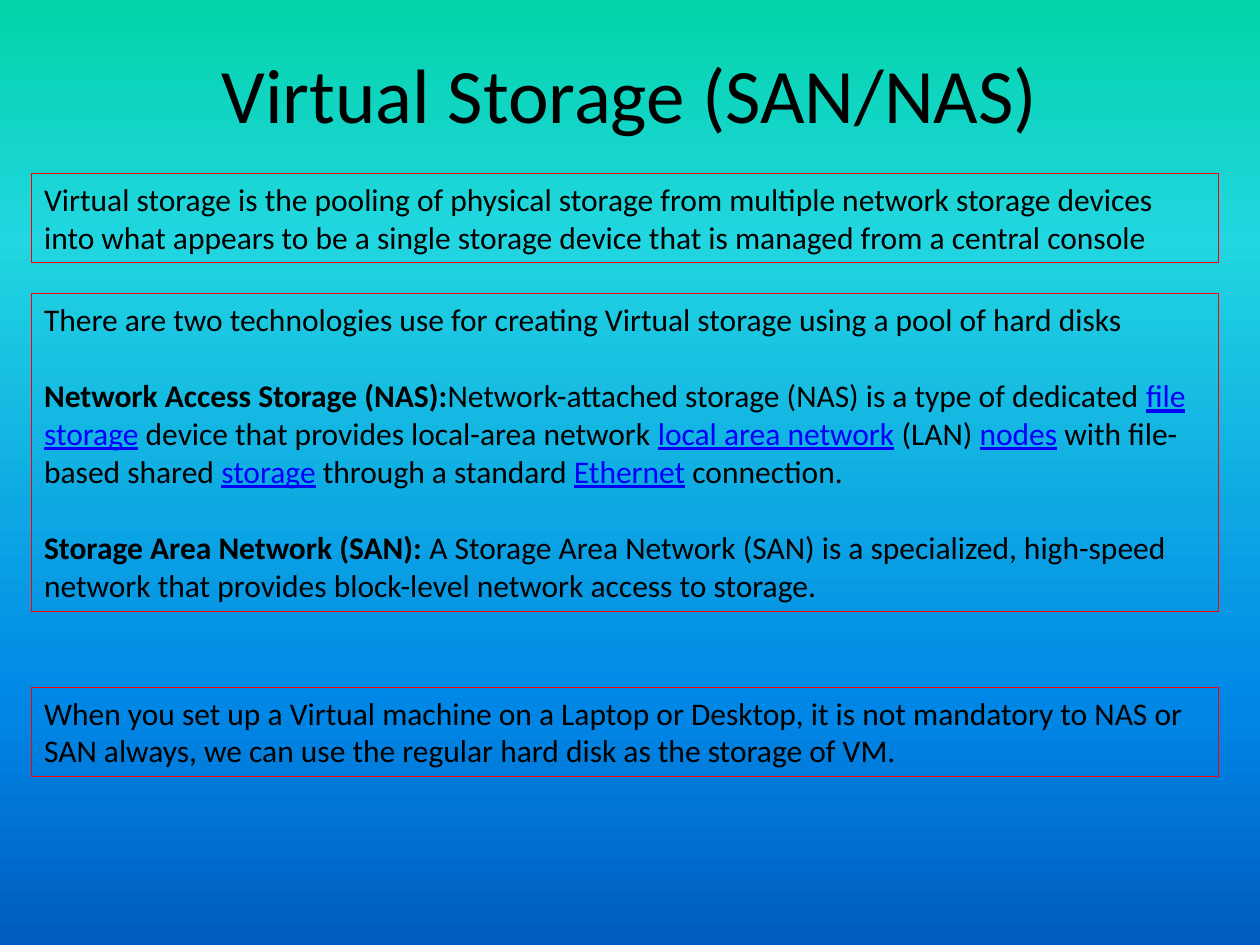
from lxml.etree import SubElement
from pptx import Presentation
from pptx.dml.color import RGBColor
from pptx.enum.shapes import MSO_SHAPE
from pptx.enum.text import MSO_ANCHOR, MSO_AUTO_SIZE, PP_ALIGN
from pptx.oxml.ns import qn
from pptx.util import Cm, Pt

FONT = "Calibri"
BLACK, RED, BLUE = "000000", "FF0000", "0000FF"
BACKGROUND_STOPS = [(0, "03D4A8"), (25, "21D6E0"), (75, "0087E6"), (100, "005CBF")]
BOX_LEFT, BOX_WIDTH = Cm(0.64), Cm(23.92)
PARAGRAPH_GAP = Pt(22)  # one line of body text

# Each paragraph is a list of (text, style) pieces
PLAIN, BOLD, LINK = "plain", "bold", "link"
DEFINITION = [[
    ("Virtual storage is the pooling of physical storage from multiple network "
     "storage devices into what appears to be a single storage device that is "
     "managed from a central console", PLAIN),
]]
TECHNOLOGIES = [
    [("There are two technologies use for creating Virtual storage using a pool "
      "of hard disks", PLAIN)],
    [("Network Access Storage (NAS):", BOLD),
     ("Network-attached storage (NAS) is a type of dedicated ", PLAIN),
     ("file storage", LINK),
     (" device that provides local-area network ", PLAIN),
     ("local area network", LINK),
     (" (LAN) ", PLAIN),
     ("nodes", LINK),
     (" with file-based shared ", PLAIN),
     ("storage", LINK),
     (" through a standard ", PLAIN),
     ("Ethernet", LINK),
     (" connection.", PLAIN)],
    [("Storage Area Network (SAN): ", BOLD),
     ("A Storage Area Network (SAN) is a specialized, high-speed network that "
      "provides block-level network access to storage.", PLAIN)],
]
REMARK = [[
    ("When you set up a Virtual machine on a Laptop or Desktop, it is not "
     "mandatory to NAS or SAN always, we can use the regular hard disk as the "
     "storage of VM.", PLAIN),
]]


def color(value):
    return RGBColor.from_string(value)


def format_run(run, size, style=PLAIN):
    font = run.font
    font.name = FONT
    font.size = Pt(size)
    font.bold = style == BOLD
    font.underline = style == LINK
    font.color.rgb = color(BLUE if style == LINK else BLACK)


def set_background(slide):
    fill = slide.background.fill
    fill.gradient()
    fill.gradient_angle = 270  # top to bottom
    stop_list = next(slide.element.iter(qn("a:gsLst")))
    stop_list.clear()
    for percent, value in BACKGROUND_STOPS:
        stop = SubElement(stop_list, qn("a:gs"), pos=str(percent * 1000))
        SubElement(stop, qn("a:srgbClr"), val=value)


def set_title(slide, text):
    title = slide.shapes.title
    title.left, title.top = Cm(1.27), Cm(0.76)
    title.width, title.height = Cm(22.86), Cm(2.21)
    text_frame = title.text_frame
    text_frame.text = text
    text_frame.vertical_anchor = MSO_ANCHOR.MIDDLE
    paragraph = text_frame.paragraphs[0]
    paragraph.alignment = PP_ALIGN.CENTER
    format_run(paragraph.runs[0], 44)


def add_text_panel(slide, top, height, paragraphs):
    shape = slide.shapes.add_shape(
        MSO_SHAPE.RECTANGLE, BOX_LEFT, top, BOX_WIDTH, height)
    shape.shadow.inherit = False
    shape.fill.background()
    shape.line.color.rgb = color(RED)
    shape.line.width = Pt(0.75)

    text_frame = shape.text_frame
    text_frame.word_wrap = True
    text_frame.auto_size = MSO_AUTO_SIZE.SHAPE_TO_FIT_TEXT
    text_frame.vertical_anchor = MSO_ANCHOR.TOP
    for index, pieces in enumerate(paragraphs):
        paragraph = text_frame.add_paragraph() if index else text_frame.paragraphs[0]
        paragraph.alignment = PP_ALIGN.LEFT
        if index:
            paragraph.space_before = PARAGRAPH_GAP
        for text, style in pieces:
            run = paragraph.add_run()
            run.text = text
            format_run(run, 18, style)


def main():
    presentation = Presentation()
    presentation.slide_width, presentation.slide_height = Cm(25.4), Cm(19.05)
    slide = presentation.slides.add_slide(presentation.slide_layouts[5])

    # Background and title
    set_background(slide)
    set_title(slide, "Virtual Storage (SAN/NAS)")

    # Framed text, from top to bottom
    add_text_panel(slide, Cm(3.5), Cm(1.8), DEFINITION)
    add_text_panel(slide, Cm(5.92), Cm(6.41), TECHNOLOGIES)
    add_text_panel(slide, Cm(13.86), Cm(1.8), REMARK)

    presentation.save("out.pptx")


if __name__ == "__main__":
    main()
